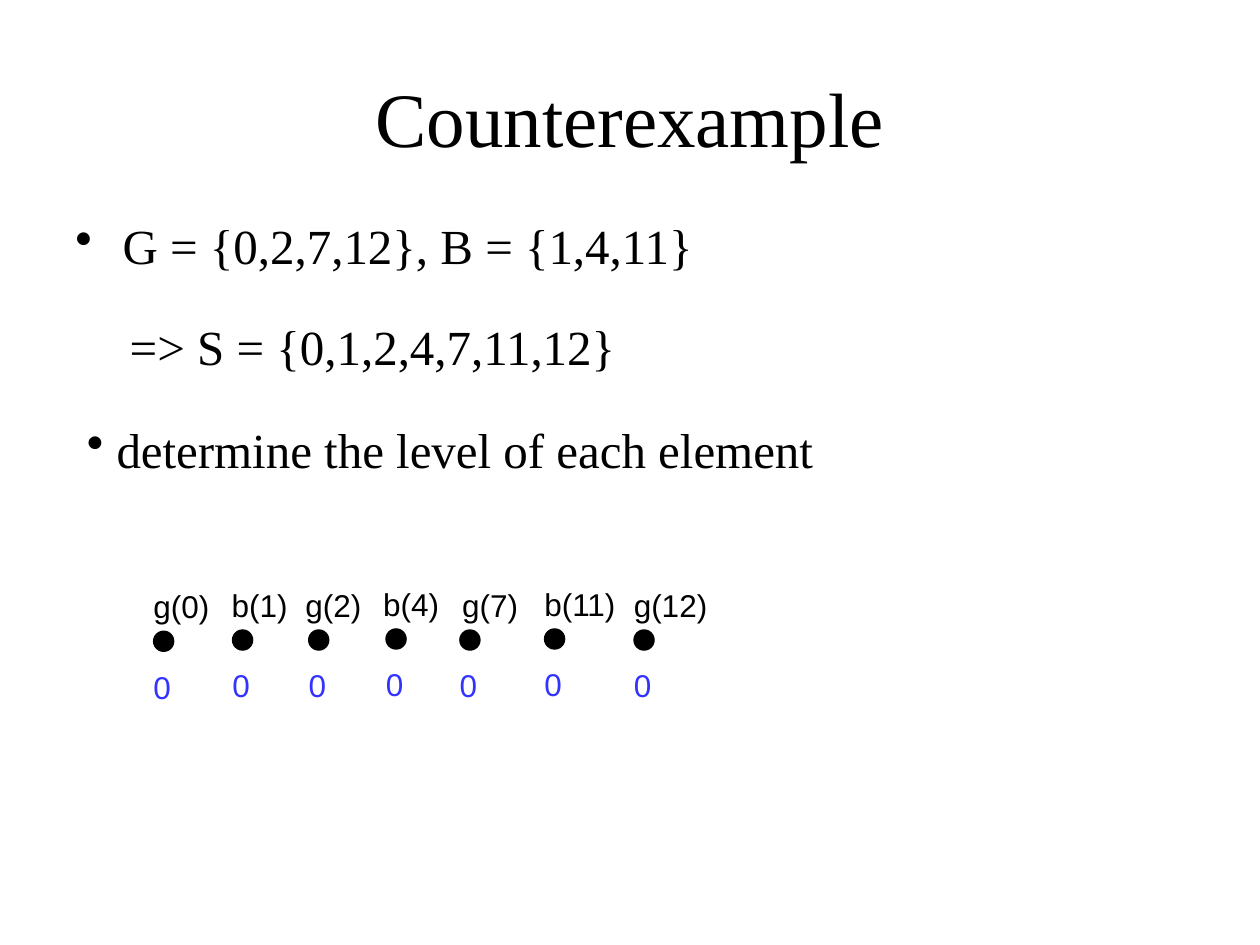
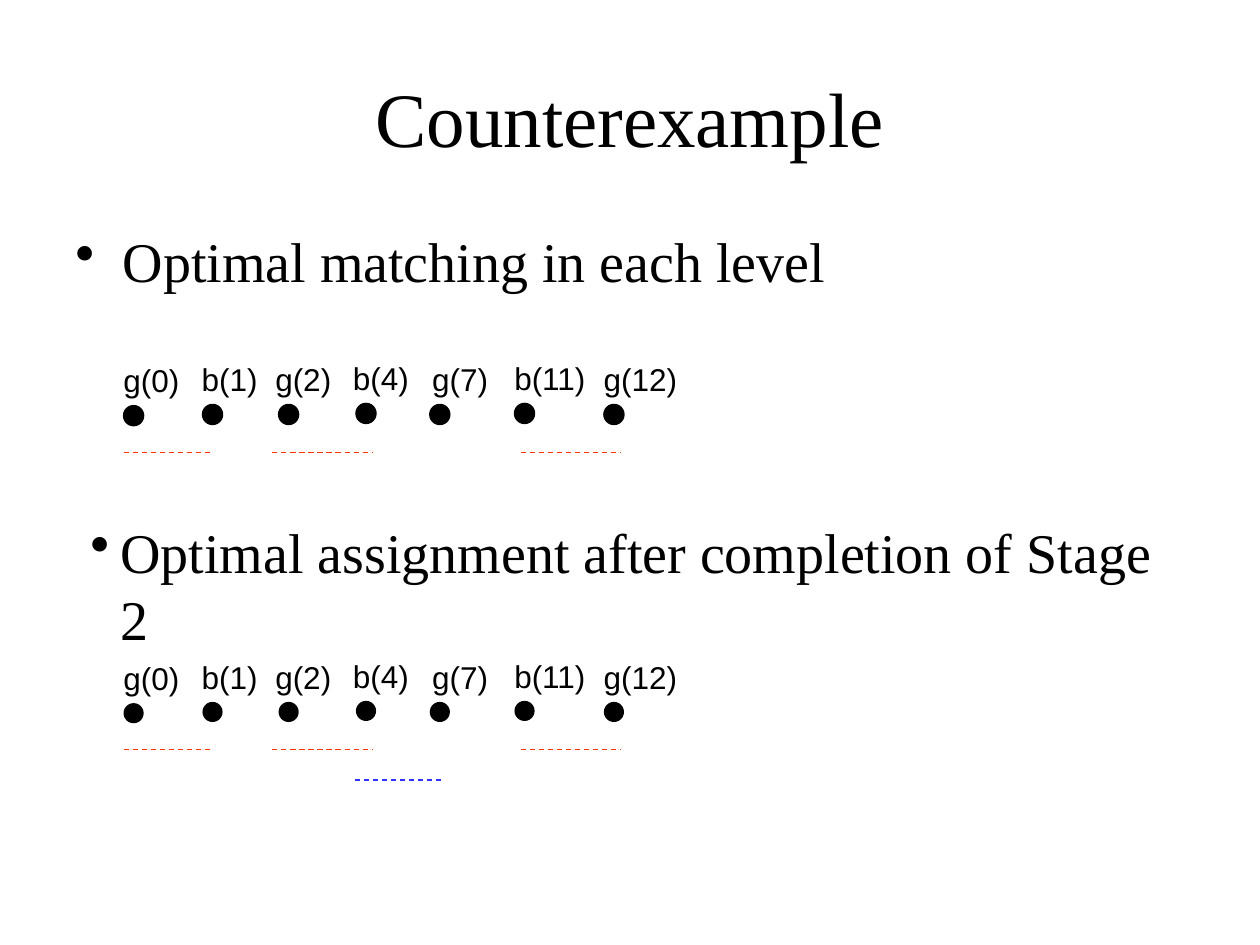
from lxml import etree
from pptx import Presentation
from pptx.dml.color import RGBColor
from pptx.enum.dml import MSO_LINE_DASH_STYLE as Dash
from pptx.enum.shapes import MSO_CONNECTOR as Connector, MSO_SHAPE as Shape
from pptx.enum.text import MSO_ANCHOR as Anchor, MSO_AUTO_SIZE as AutoSize, PP_ALIGN as Align
from pptx.oxml.ns import qn
from pptx.util import Pt

COLORS = {"ink": "000000", "blue": "3333FF", "red": "FF3300"}
SERIF, SANS = "Times New Roman", "Arial"
DOT = 11.5

# name, dot x, label x (both from the first dot), upward nudge
ELEMENTS = [
    ("g(0)", 0, -7.2, -0.7),
    ("b(1)", 45.1, -7.6, 0),
    ("g(2)", 88.6, -9, 0),
    ("b(4)", 132.8, -8.8, 0.6),
    ("g(7)", 175, -5.8, 0),
    ("b(11)", 223.4, -7.2, 0.6),
    ("g(12)", 274.5, -7.2, 0),
]
LEVEL_PAIRS = [(0, 51), (85, 142), (227, 284)]
STAGE_2_PAIR = (181.4, 130.3)


def rgb(name):
    return RGBColor.from_string(COLORS[name])


def style_text(p, size, font, color="ink"):
    for r in p.runs:
        r.font.size = Pt(size)
        r.font.name = font
        r.font.color.rgb = rgb(color)


def add_title(s, text):
    title = s.shapes.title
    title.left, title.top, title.width, title.height = Pt(36), Pt(21.6), Pt(648), Pt(90)
    tf = title.text_frame
    tf.text = text
    tf.auto_size = AutoSize.NONE
    tf.vertical_anchor = Anchor.MIDDLE
    p = tf.paragraphs[0]
    p.alignment = Align.CENTER
    style_text(p, 44, SERIF)


def add_text(s, text, x, y, w, h, size, font=SERIF, color="ink"):
    tf = s.shapes.add_textbox(Pt(x), Pt(y), Pt(w), Pt(h)).text_frame
    tf.word_wrap = True
    tf.text = text
    p = tf.paragraphs[0]
    style_text(p, size, font, color)
    return p


def add_bullet(s, text, x, y, w, h, size, hang):
    p = add_text(s, text, x, y, w, h, size)
    pPr = p._p.get_or_add_pPr()
    pPr.set("marL", str(Pt(hang)))
    pPr.set("indent", str(-Pt(hang)))
    etree.SubElement(pPr, qn("a:buChar")).set("char", "•")
    return p


def add_dot(s, x, y, outlined):
    sp = s.shapes.add_shape(Shape.OVAL, Pt(x), Pt(y), Pt(DOT), Pt(DOT))
    sp.shadow.inherit = False
    sp.fill.solid()
    sp.fill.fore_color.rgb = rgb("ink")
    if outlined:
        sp.line.color.rgb = rgb("ink")
        sp.line.width = Pt(0.75)
    else:
        sp.line.fill.background()


def add_elements(s, x, y, outlined=True, level=None):
    """Draw the row of labelled dots, with the level below each if given."""
    for name, dot_x, label_dx, lift in ELEMENTS:
        left, top = x + dot_x, y - lift
        add_dot(s, left, top, outlined)
        width = 48 if len(name) == 4 else 58
        add_text(s, name, left + label_dx, top - 28.8, width, 28.8, 18, SANS)
        if level is not None:
            add_text(s, level, left - 7.2, top + 17.3, 26, 28.8, 18, SANS, "blue")


def add_match(s, x, y, pair, color):
    start, end = pair
    line = s.shapes.add_connector(Connector.STRAIGHT, Pt(x + start), Pt(y), Pt(x + end), Pt(y))
    line.line.color.rgb = rgb(color)
    line.line.width = Pt(0.75)
    line.line.dash_style = Dash.DASH
    etree.SubElement(line._element.spPr, qn("a:effectLst"))


def add_matched_elements(s, x, y, outlined=True):
    add_elements(s, x, y, outlined)
    for pair in LEVEL_PAIRS:
        add_match(s, x, y + 27.3, pair, "red")


def add_slide(prs):
    s = prs.slides.add_slide(prs.slide_layouts[5])
    add_title(s, "Counterexample")
    return s


def build_levels(prs):
    s = add_slide(prs)
    p = add_bullet(s, "G = {0,2,7,12}, B = {1,4,11}", 36, 126, 648, 70.6, 28, 27)
    p.line_spacing = 0.8
    add_text(s, "=> S = {0,1,2,4,7,11,12}", 67, 177.2, 300, 41, 28)
    add_bullet(s, "determine the level of each element", 42.5, 236.2, 538.6, 75, 28, 17)
    add_elements(s, 87.8, 360, level="0")


def build_matching(prs):
    s = add_slide(prs)
    x, top_row, bottom_row = 70.6, 231.1, 401.1
    add_bullet(s, "Optimal matching in each level", 36, 126, 648, 356.4, 32, 27)
    add_matched_elements(s, x, top_row)
    add_bullet(s, "Optimal assignment after completion of Stage 2",
               44.6, 292.3, 639.4, 84, 32, 17)
    add_matched_elements(s, x, bottom_row, outlined=False)
    add_match(s, x, bottom_row + 44.6, STAGE_2_PAIR, "blue")


def main():
    prs = Presentation()
    prs.slide_width, prs.slide_height = Pt(720), Pt(540)
    build_levels(prs)
    build_matching(prs)
    prs.save("out.pptx")


if __name__ == "__main__":
    main()
